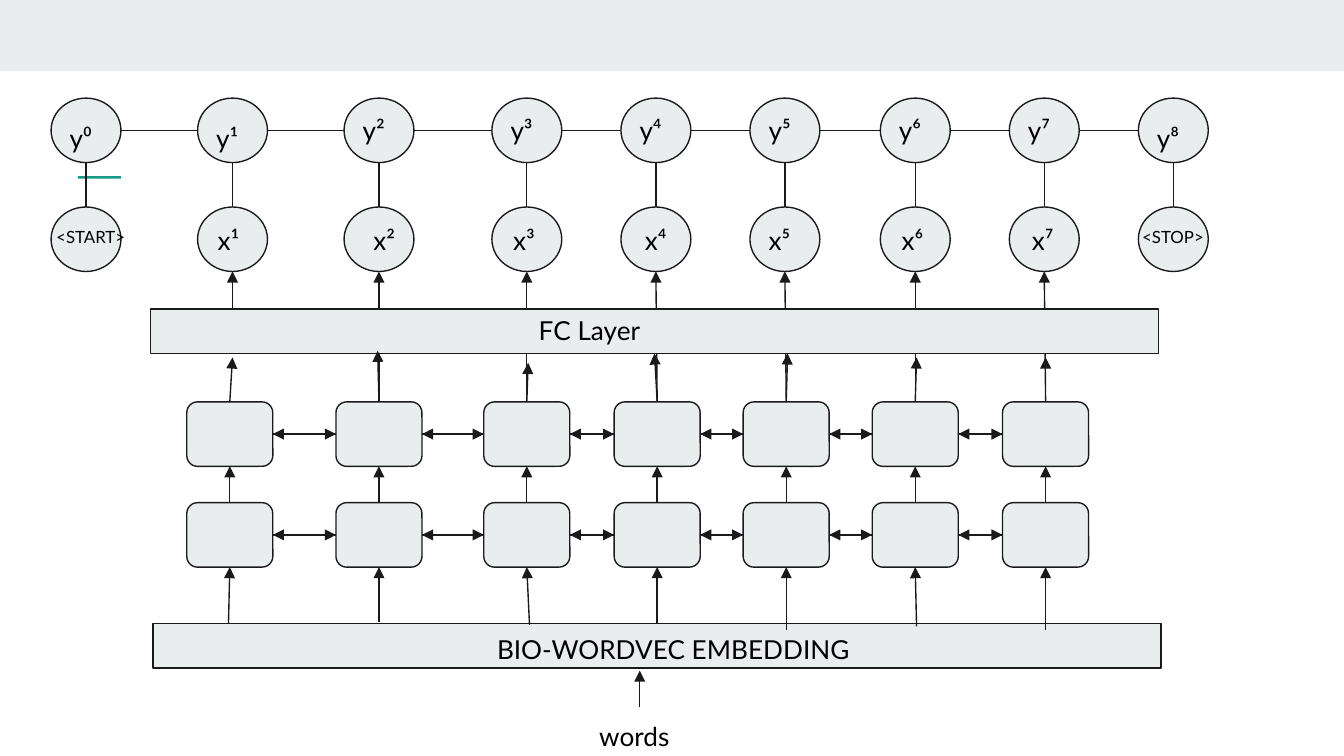
from dataclasses import dataclass
from itertools import pairwise
from typing import NamedTuple

from lxml import etree
from pptx import Presentation
from pptx.dml.color import RGBColor
from pptx.enum.shapes import MSO_CONNECTOR, MSO_SHAPE
from pptx.oxml.ns import qn
from pptx.shapes.autoshape import Shape
from pptx.shapes.connector import Connector
from pptx.util import Inches, Pt

RECTANGLE = MSO_SHAPE.RECTANGLE
ROUNDED = MSO_SHAPE.ROUNDED_RECTANGLE
ELLIPSE = MSO_SHAPE.OVAL
STRAIGHT = MSO_CONNECTOR.STRAIGHT
TOP, LEFT, BOTTOM, RIGHT = range(4)


@dataclass(frozen=True)
class Theme:
    font: str = "Lato"
    panel: RGBColor = RGBColor(0xE9, 0xED, 0xEE)
    ink: RGBColor = RGBColor(0x1A, 0x1A, 0x1A)
    accent: RGBColor = RGBColor(0x1A, 0x99, 0x88)
    text: RGBColor = RGBColor(0, 0, 0)
    outline: float = 0.75
    body_size: int = 14
    marker_size: int = 9


class Point(NamedTuple):
    x: float
    y: float


class Frame(NamedTuple):
    left: float
    top: float
    width: float
    height: float


class Step(NamedTuple):
    """One word position: its cells, its label and the loose arrow ends."""
    cell_left: float
    label_left: float
    embedding_start: Point
    layer_tip: Point


THEME = Theme()
TEXT_FORMAT = {
    "word_wrap": True,
    "margin_left": Inches(0.1),
    "margin_right": Inches(0.1),
    "margin_top": Inches(0.1),
    "margin_bottom": Inches(0.1),
}

CELL_WIDTH, CELL_HEIGHT = 0.64, 0.48
LOWER_TOP, UPPER_TOP = 3.74, 2.99
CIRCLE_WIDTH, CIRCLE_HEIGHT = 0.52, 0.48
X_TOP, Y_TOP = 1.54, 0.73
LAYER = Frame(1.12, 2.3, 7.5, 0.33)
EMBEDDING = Frame(1.14, 4.64, 7.5, 0.33)

STEPS = [
    Step(1.39, 1.52, Point(1.7, 4.64), Point(1.73, 2.66)),
    Step(2.5, 2.68, Point(2.82, 4.63), Point(2.81, 2.61)),
    Step(3.6, 3.72, Point(3.94, 4.65), Point(3.93, 2.7)),
    Step(4.57, 4.7, Point(4.89, 4.64), Point(4.87, 2.63)),
    Step(5.53, 5.62, Point(5.85, 4.69), Point(5.86, 2.63)),
    Step(6.49, 6.61, Point(6.82, 4.66), Point(6.82, 2.66)),
    Step(7.46, 7.58, Point(7.78, 4.69), Point(7.78, 2.66)),
]
CIRCLE_LEFTS = [0.38, 1.47, 2.56, 3.66, 4.62, 5.58, 6.55, 7.51, 8.47]
SUPERSCRIPTS = "⁰¹²³⁴⁵⁶⁷⁸"
LOW_LABELS = "⁰¹⁸"

deck = Presentation()
deck.slide_width = Inches(10)
deck.slide_height = deck.slide_width * 9 // 16
page = deck.slides.add_slide(deck.slide_layouts[6])


def add_box(kind: MSO_SHAPE, frame: Frame, fill: RGBColor = THEME.panel,
            outlined: bool = True) -> Shape:
    box = page.shapes.add_shape(kind, *map(Inches, frame))
    box.shadow.inherit = False
    box.fill.solid()
    box.fill.fore_color.rgb = fill
    if outlined:
        box.line.color.rgb = THEME.ink
        box.line.width = Pt(THEME.outline)
    else:
        box.line.fill.background()
    return box


def add_line(start: Point, end: Point, arrow: bool = False) -> Connector:
    line = page.shapes.add_connector(STRAIGHT, *map(Inches, (*start, *end)))
    line.line.color.rgb = THEME.ink
    line.line.width = Pt(THEME.outline)
    properties = line.element.spPr
    if arrow:
        outline = properties.find(qn("a:ln"))
        etree.SubElement(outline, qn("a:tailEnd"), type="triangle")
    etree.SubElement(properties, qn("a:effectLst"))
    return line


def join_cells(source: Shape, source_side: int, target: Shape, target_side: int) -> None:
    arrow = add_line(Point(0, 0), Point(0, 0), arrow=True)
    arrow.begin_connect(source, source_side)
    arrow.end_connect(target, target_side)


def add_label(text: str, frame: Frame, size: int = THEME.body_size) -> None:
    box = page.shapes.add_textbox(*map(Inches, frame))
    for name, value in TEXT_FORMAT.items():
        setattr(box.text_frame, name, value)
    span = box.text_frame.paragraphs[0].add_run()
    span.text = text
    font_format = {"name": THEME.font, "size": Pt(size)}
    for name, value in font_format.items():
        setattr(span.font, name, value)
    span.font.color.rgb = THEME.text


def add_cells(top: float) -> list[Shape]:
    """Draw one recurrent layer, linked in both directions."""
    cells = [add_box(ROUNDED, Frame(step.cell_left, top, CELL_WIDTH, CELL_HEIGHT))
             for step in STEPS]
    for before, after in pairwise(cells):
        join_cells(before, RIGHT, after, LEFT)
        join_cells(after, LEFT, before, RIGHT)
    return cells


def add_recurrent_layers() -> None:
    lower, upper = add_cells(LOWER_TOP), add_cells(UPPER_TOP)
    for index, step in enumerate(STEPS):
        join_cells(lower[index], TOP, upper[index], BOTTOM)
        add_line(step.embedding_start, Point(0, 0), arrow=True).end_connect(lower[index], BOTTOM)
        circle_middle = CIRCLE_LEFTS[index + 1] + CIRCLE_WIDTH / 2
        tip = Point(circle_middle, X_TOP + CIRCLE_HEIGHT)
        through = add_line(Point(circle_middle, 2.57), tip, arrow=True)
        if index > 0:
            through.begin_connect(upper[index], TOP)
    add_box(RECTANGLE, LAYER)
    for cell, step in zip(upper, STEPS):
        add_line(Point(0, 0), step.layer_tip, arrow=True).begin_connect(cell, TOP)


def add_tag_chain() -> None:
    """Draw the x and y circles and the lines between them."""
    for left in CIRCLE_LEFTS:
        middle = left + CIRCLE_WIDTH / 2
        for top in (X_TOP, Y_TOP):
            add_box(ELLIPSE, Frame(left, top, CIRCLE_WIDTH, CIRCLE_HEIGHT))
        add_line(Point(middle, X_TOP), Point(middle, Y_TOP + CIRCLE_HEIGHT))
    chain_height = Y_TOP + CIRCLE_HEIGHT / 2
    for before, after in pairwise(CIRCLE_LEFTS):
        add_line(Point(before + CIRCLE_WIDTH, chain_height), Point(after, chain_height))


def add_labels() -> None:
    for step, digit in zip(STEPS, SUPERSCRIPTS[1:]):
        add_label(f"x{digit}", Frame(step.label_left, 1.57, 0.45, 0.33))
    for left, digit in zip(CIRCLE_LEFTS, SUPERSCRIPTS):
        top = 0.81 if digit in LOW_LABELS else 0.75
        add_label(f"y{digit}", Frame(left + 0.04, top, 0.45, 0.33))
    add_label("<START>", Frame(0.32, 1.61, 0.81, 0.33), THEME.marker_size)
    add_label("<STOP>", Frame(8.4, 1.61, 0.81, 0.33), THEME.marker_size)
    add_label("FC Layer", Frame(3.91, 2.24, 2.58, 0.3))
    add_label("BIO-WORDVEC EMBEDDING", Frame(3.6, 4.61, 2.94, 0.27))
    add_label("words", Frame(4.36, 5.26, 0.81, 0.41))


def main() -> None:
    add_box(RECTANGLE, Frame(0, 0, 10, 0.53), outlined=False)
    add_box(RECTANGLE, Frame(0.58, 1.31, 0.32, 0.02), THEME.accent, outlined=False)
    add_box(RECTANGLE, EMBEDDING)
    add_recurrent_layers()
    add_tag_chain()
    add_line(Point(4.76, 5.26), Point(4.76, 4.99), arrow=True)
    add_labels()
    deck.save("out.pptx")


if __name__ == "__main__":
    main()
